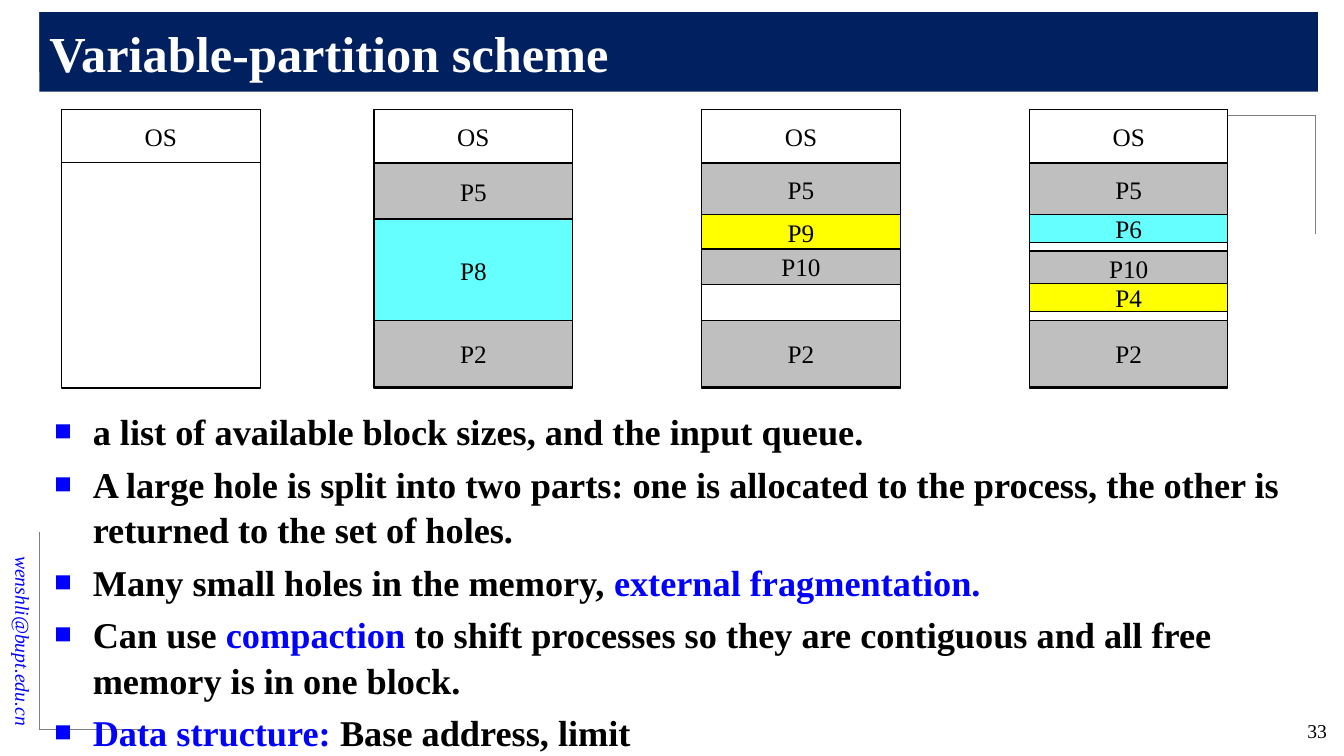
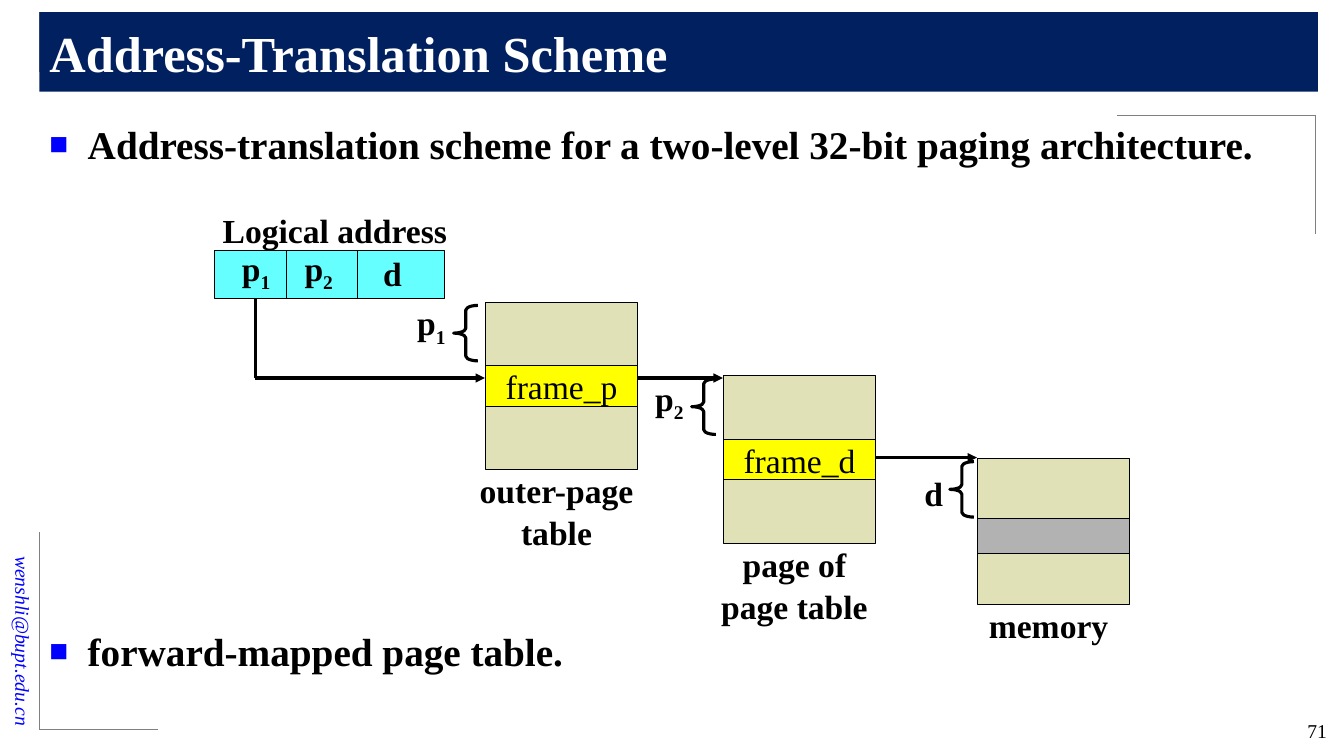
from pptx import Presentation
from pptx import util as u
from pptx.dml.color import RGBColor
from pptx.enum import shapes, text
from pptx.oxml import parse_xml
from pptx.oxml.ns import nsdecls, qn

COL = {
    "navy": "002060", "white": "FFFFFF", "black": "000000", "blue": "0000FF",
    "grey": "808080", "silver": "BFBFBF", "steel": "B2B2B2", "cyan": "66FFFF",
    "yellow": "FFFF00", "khaki": "E1E1B7",
}
FONT = "Times New Roman"
LEFT, CENTER, RIGHT = text.PP_ALIGN.LEFT, text.PP_ALIGN.CENTER, text.PP_ALIGN.RIGHT
MIDDLE, TOP, BOTTOM = text.MSO_ANCHOR.MIDDLE, text.MSO_ANCHOR.TOP, text.MSO_ANCHOR.BOTTOM


def write(sp, paras, size, color="black", bold=False, italic=False, align=LEFT,
          anchor=TOP, wrap=True, bullet=False, gap=0, spacing=1.0):
    tf = sp.text_frame
    tf.word_wrap = wrap
    tf.auto_size = text.MSO_AUTO_SIZE.NONE
    tf.vertical_anchor = anchor
    for i, para in enumerate(paras):
        p = tf.paragraphs[0] if i == 0 else tf.add_paragraph()
        p.alignment = align
        p.line_spacing = spacing
        p.space_before = u.Pt(gap if i else 0)
        if bullet:
            pPr = p._p.get_or_add_pPr()
            pPr.set("marL", str(u.Inches(0.38)))
            pPr.set("indent", str(-u.Inches(0.38)))
            for xml in (f'<a:buClr {nsdecls("a")}><a:srgbClr val="{COL["blue"]}"/></a:buClr>',
                        f'<a:buSzPct {nsdecls("a")} val="80000"/>',
                        f'<a:buFont {nsdecls("a")} typeface="{FONT}"/>',
                        f'<a:buChar {nsdecls("a")} char="■"/>'):
                pPr.append(parse_xml(xml))
        for j, part in enumerate(para.split("|")):
            if not part:
                continue
            r = p.add_run()
            r.text = part
            f = r.font
            f.name, f.size, f.bold, f.italic = FONT, u.Pt(size), bold, italic
            marked = j % 2 == 1
            f.color.rgb = RGBColor.from_string(COL["blue" if marked and bullet else color])
            if marked and not bullet:
                r._r.get_or_add_rPr().set("baseline", "-25000")


def rect(s, x, y, w, h, fill):
    sp = s.shapes.add_shape(shapes.MSO_SHAPE.RECTANGLE,
                            u.Inches(x), u.Inches(y), u.Inches(w), u.Inches(h))
    sp.shadow.inherit = False
    sp.fill.solid()
    sp.fill.fore_color.rgb = RGBColor.from_string(COL[fill])
    sp.line.color.rgb = RGBColor.from_string(COL["black"])
    sp.line.width = u.Pt(0.75)
    return sp


prs = Presentation()
prs.slide_width, prs.slide_height = u.Inches(13.33), u.Inches(7.5)
layout = prs.slide_layouts[1]

frame_lines = [
    (0.39, 0.12, 0.39, 0.71), (0.39, 0.12, 2.36, 0.12),
    (0.39, 5.28, 0.39, 7.24), (1.57, 7.24, 0.39, 7.24),
    (13.05, 1.14, 13.05, 2.32), (13.05, 1.14, 11.08, 1.14),
]
flow_lines = [
    (2.53, 2.97, 2.53, 3.75, False), (2.53, 3.75, 4.81, 3.75, True),
    (6.31, 3.75, 7.17, 3.75, True), (8.67, 4.54, 9.69, 4.54, True),
]
pages = [
    ("Variable-partition scheme", "33", (0.44, 3.99, 12.6, 3.31), 25.9, 4.8, 1.05, [
        "a list of available block sizes, and the input queue.",
        "A large hole is split into two parts: one is allocated to the process, "
        "the other is returned to the set of holes.",
        "Many small holes in the memory, |external fragmentation.",
        "Can use |compaction| to shift processes so they are contiguous and all free "
        "memory is in one block.",
        "|Data structure:| Base address, limit",
    ], []),
    ("Address-Translation Scheme", "71", (0.39, 1.14, 12.64, 6.1), 28, 329, 1.0, [
        "Address-translation scheme for a two-level 32-bit paging architecture.",
        "forward-mapped page table.",
    ], flow_lines),
]

for title, number, place, size, gap, spacing, bullets, flow in pages:
    s = prs.slides.add_slide(layout)
    sp = s.shapes.title
    sp.left, sp.top, sp.width, sp.height = [u.Inches(v) for v in (0.39, 0.12, 12.68, 0.79)]
    sp.fill.solid()
    sp.fill.fore_color.rgb = RGBColor.from_string(COL["navy"])
    write(sp, [title], 36, "white", bold=True, anchor=MIDDLE)

    body = s.placeholders[1]
    body.left, body.top, body.width, body.height = [u.Inches(v) for v in place]
    write(body, bullets, size, bold=True, bullet=True, gap=gap, spacing=spacing)

    lines = [(*ends, False, "grey", 0.5) for ends in frame_lines]
    lines += [(*ends, "black", 2.25) for ends in flow]
    for x1, y1, x2, y2, arrow, color, weight in lines:
        c = s.shapes.add_connector(shapes.MSO_CONNECTOR.STRAIGHT, u.Inches(x1), u.Inches(y1),
                                   u.Inches(x2), u.Inches(y2))
        c.line.color.rgb = RGBColor.from_string(COL[color])
        c.line.width = u.Pt(weight)
        if arrow:
            ln = c._element.spPr.find(qn("a:ln"))
            ln.append(parse_xml(f'<a:tailEnd {nsdecls("a")} type="triangle"/>'))
        c._element.spPr.append(parse_xml(f'<a:effectLst {nsdecls("a")}/>'))
        s.shapes._spTree.insert(2, c._element)

    mail = s.shapes.add_textbox(u.Inches(-1.09), u.Inches(5.81), u.Inches(2.64), u.Inches(0.34))
    mail.rotation = 90
    write(mail, ["wenshli@bupt.edu.cn"], 14, "blue", italic=True, align=RIGHT, anchor=MIDDLE)
    num = s.shapes.add_textbox(u.Inches(12.15), u.Inches(7.08), u.Inches(1.11), u.Inches(0.36))
    write(num, [number], 14, align=RIGHT)

s = prs.slides[0]
memories = [
    (0.61, []),
    (3.71, [("P5", 1.62, 0.55, "silver"), ("P8", 2.18, 1.0, "cyan"),
            ("P2", 3.18, 0.66, "silver")]),
    (6.96, [("P5", 1.62, 0.52, "silver"), ("P2", 3.18, 0.66, "silver"),
            ("P9", 2.13, 0.35, "yellow"), ("P10", 2.47, 0.35, "silver")]),
    (10.21, [("P5", 1.62, 0.52, "silver"), ("P2", 3.18, 0.66, "silver"),
             ("P10", 2.49, 0.35, "silver"), ("P6", 2.13, 0.28, "cyan"),
             ("P4", 2.81, 0.28, "yellow")]),
]
for x, blocks in memories:
    rect(s, x, 1.09, 1.97, 2.76, "white")
    for name, y, h, fill in [("OS", 1.09, 0.52, "white")] + blocks:
        sp = rect(s, x, y, 1.97, h, fill)
        write(sp, [name], 18, align=CENTER, anchor=MIDDLE)

s = prs.slides[1]
sp = s.shapes.add_textbox(u.Inches(2.11), u.Inches(2.03), u.Inches(2.43), u.Inches(0.5))
write(sp, ["Logical address"], 24, bold=True, wrap=False)
for name, x, w, inset in [("p|1", 2.13, 0.71, 0.27), ("p|2", 2.84, 0.71, 0.18),
                          ("d", 3.55, 0.86, 0.25)]:
    sp = rect(s, x, 2.49, w, 0.47, "cyan")
    write(sp, [name], 24, bold=True, anchor=BOTTOM, wrap=False)
    sp.text_frame.margin_left = u.Inches(inset)

tables = [
    (4.82, 3.0, (0.63, 0.4, 0.63), "yellow", "frame_p", "p|1", (-0.78, -0.05), -0.32,
     ["outer-page", "table"]),
    (7.18, 3.73, (0.63, 0.4, 0.63), "yellow", "frame_d", "p|2", (-0.78, -0.03), -0.32,
     ["page of", "page table"]),
    (9.7, 4.55, (0.59, 0.35, 0.51), "steel", "", "d", (-0.63, 0.09), -0.28, ["memory"]),
]
for x, y, heights, mid_fill, entry, offset, (dx, dy), brace_dx, caption in tables:
    top = y
    for h, fill, name in zip(heights, ("khaki", mid_fill, "khaki"), ("", entry, "")):
        sp = rect(s, x, top, 1.5, h, fill)
        if name:
            write(sp, [name], 24, align=CENTER, anchor=MIDDLE, wrap=False)
        top += h
    brace = s.shapes.add_shape(shapes.MSO_SHAPE.LEFT_BRACE, u.Inches(x + brace_dx),
                               u.Inches(y + 0.03), u.Inches(0.24), u.Inches(0.55))
    brace.shadow.inherit = False
    brace.adjustments[0] = 0.195
    brace.fill.background()
    brace.line.color.rgb = RGBColor.from_string(COL["black"])
    brace.line.width = u.Pt(2.25)
    sp = s.shapes.add_textbox(u.Inches(x + dx), u.Inches(y + dy), u.Inches(0.5), u.Inches(0.5))
    write(sp, [offset], 24, bold=True, wrap=False)
    sp = s.shapes.add_textbox(u.Inches(x - 0.2), u.Inches(top - 0.06), u.Inches(1.8),
                              u.Inches(0.1 + 0.4 * len(caption)))
    write(sp, caption, 24, bold=True, align=CENTER, wrap=False, spacing=1.04)

prs.save("out.pptx")
